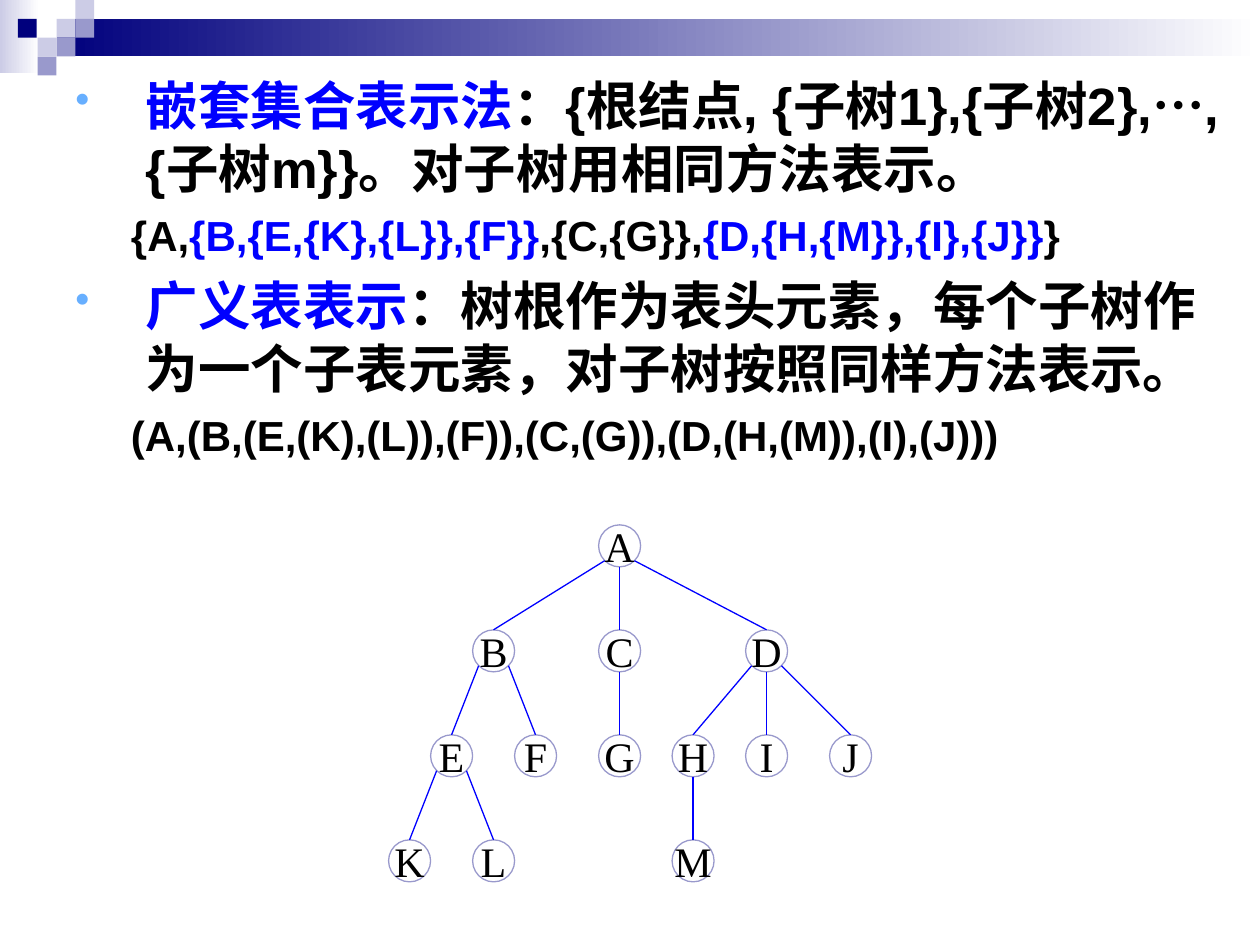
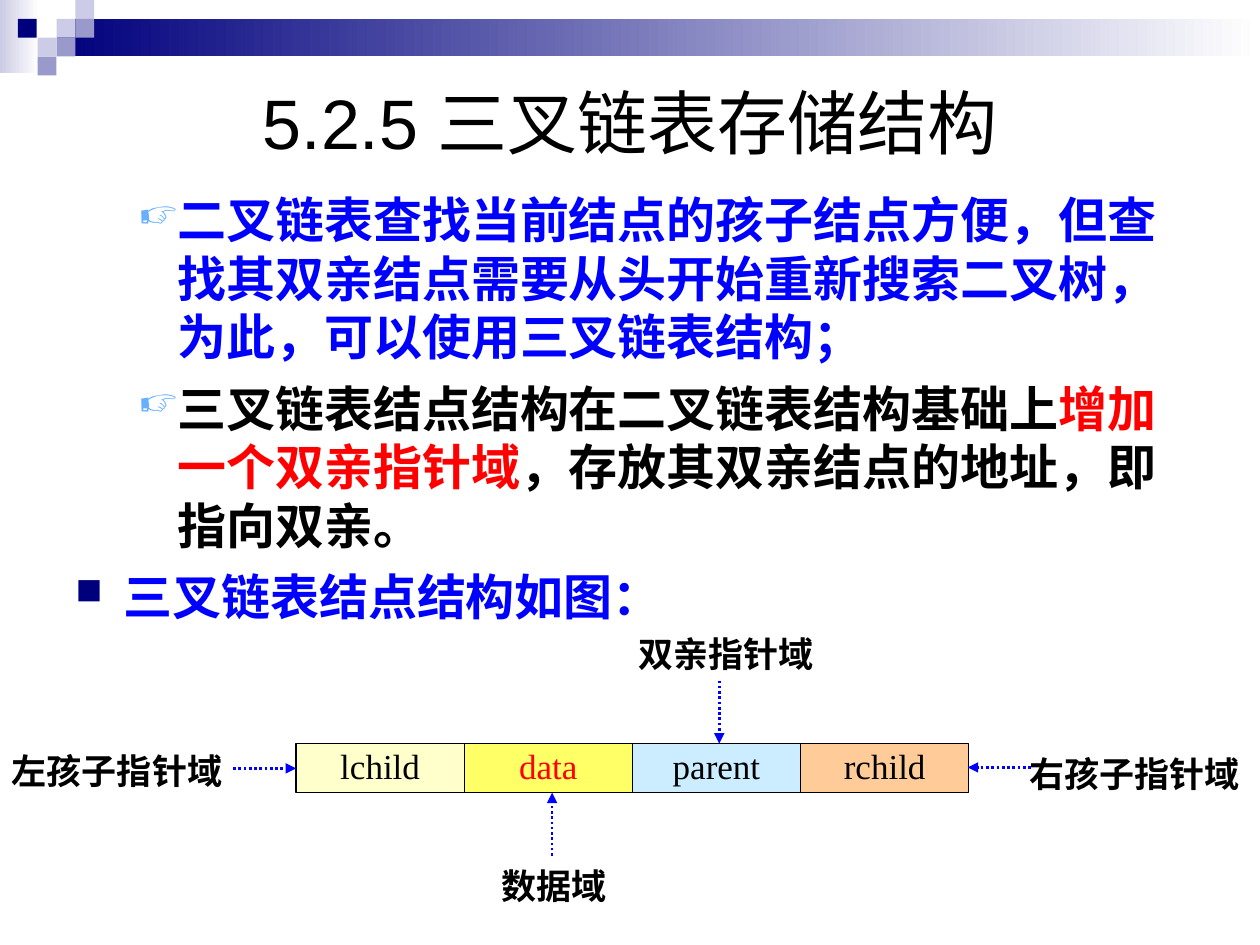
from lxml import etree
from pptx import Presentation
from pptx.dml.color import RGBColor
from pptx.enum.dml import MSO_LINE
from pptx.enum.shapes import MSO_CONNECTOR, MSO_SHAPE
from pptx.enum.text import MSO_ANCHOR, PP_ALIGN
from pptx.oxml.ns import qn
from pptx.util import Cm, Pt

RECT, OVAL = MSO_SHAPE.RECTANGLE, MSO_SHAPE.OVAL
LINE, DOTS = MSO_CONNECTOR.STRAIGHT, MSO_LINE.ROUND_DOT
MID, TOP = MSO_ANCHOR.MIDDLE, MSO_ANCHOR.TOP
LEFT, CENTER = PP_ALIGN.LEFT, PP_ALIGN.CENTER

NAVY, LILAC, PALE, SKY = "00007D", "9999CC", "CCCCE6", "67AFFF"
BLUE, BLACK, RED, WHITE = "0000FF", "000000", "FF0000", "FFFFFF"
SANS, SERIF, HAN = "Arial", "Times New Roman", "Noto Sans CJK SC"

# Paragraph kinds: size, indents in cm, bullet, space before, line height
POINT = dict(size=30, left=2.69, hang=-1.42, mark=("•", SKY, 80),
             before=7.5, line=36)
FORM = dict(size=24, left=2.39, hang=0, before=6)
HAND = dict(size=28, left=2.06, hang=-0.79, mark=("☞", SKY, 80),
            before=7, line=33.6)
ITEM = dict(size=28, left=0.97, hang=-0.97, mark=("■", NAVY, 75),
            before=7, line=33.6)


def color(code):
    return RGBColor.from_string(code)


def apply(target, values):
    for key, value in values.items():
        setattr(target, key, value)


class Deck:
    def __init__(self):
        self.prs = Presentation()
        self.prs.slide_width, self.prs.slide_height = Cm(25.4), Cm(19.05)
        self.slide = None

    def page(self):
        self.slide = self.prs.slides.add_slide(self.prs.slide_layouts[6])
        self.band()

    def band(self):
        self.box(RECT, 0, 0, 0.79, 1.47, (PALE, WHITE))
        self.box(RECT, 1.14, 0.38, 24.26, 0.76, (NAVY, WHITE))
        side = 0.38
        for col, row, fill in [(3, 1, PALE), (4, 0, PALE), (4, 1, LILAC),
                               (2, 2, PALE), (0.95, 1, NAVY),
                               (3, 2, LILAC), (2, 3, LILAC)]:
            self.box(RECT, col * side, row * side, side, side, fill)

    def box(self, kind, x, y, w, h, fill, edge=None):
        shape = self.slide.shapes.add_shape(kind, Cm(x), Cm(y), Cm(w), Cm(h))
        shape.shadow.inherit = False
        if isinstance(fill, tuple):
            shape.fill.gradient()
            shape.fill.gradient_angle = 0
            for stop, code in zip(shape.fill.gradient_stops, fill):
                stop.color.rgb = color(code)
        else:
            shape.fill.solid()
            shape.fill.fore_color.rgb = color(fill)
        if edge:
            shape.line.color.rgb = color(edge)
            shape.line.width = Pt(0.75)
        else:
            shape.line.fill.background()
        return shape

    def line(self, start, end, width=0.75, arrow=False):
        link = self.slide.shapes.add_connector(
            LINE, *(Cm(v) for v in (*start, *end)))
        link.line.color.rgb = color(BLUE)
        link.line.width = Pt(width)
        if arrow:
            link.line.dash_style = DOTS
            etree.SubElement(link.line._get_or_add_ln(), qn("a:tailEnd"),
                             type="triangle")
        etree.SubElement(link._element.spPr, qn("a:effectLst"))

    def run(self, par, text, size, code, font, bold):
        run = par.add_run()
        run.text = text
        apply(run.font, dict(name=font, size=Pt(size), bold=bold))
        run.font.color.rgb = color(code)
        props = run._r.get_or_add_rPr()
        props.set("lang", "zh-CN")
        etree.SubElement(props, qn("a:ea"), typeface=HAN)

    def bullet(self, par, kind):
        props = par._p.get_or_add_pPr()
        props.set("marL", str(Cm(kind["left"])))
        props.set("indent", str(Cm(kind["hang"])))
        if "mark" not in kind:
            etree.SubElement(props, qn("a:buNone"))
            return
        char, code, size = kind["mark"]
        tint = etree.SubElement(props, qn("a:buClr"))
        etree.SubElement(tint, qn("a:srgbClr"), val=code)
        etree.SubElement(props, qn("a:buSzPct"), val=str(size * 1000))
        etree.SubElement(props, qn("a:buChar"), char=char)

    def frame(self, shape, anchor=MID, wrap=False, tight=False):
        inset = dict(margin_left=Cm(0.25), margin_right=Cm(0.25),
                     margin_top=Cm(0.03 if tight else 0.13),
                     margin_bottom=Cm(0.13))
        apply(shape.text_frame, dict(vertical_anchor=anchor, word_wrap=wrap,
                                     **inset))
        return shape.text_frame

    def area(self, x, y, w, h, anchor=TOP, tight=False):
        shape = self.slide.shapes.add_textbox(Cm(x), Cm(y), Cm(w), Cm(h))
        return self.frame(shape, anchor, True, tight)

    def center(self, frame, text, size, font, code=BLACK, bold=False):
        par = frame.paragraphs[0]
        par.alignment = CENTER
        self.run(par, text, size, code, font, bold)
        return par

    def title(self, text):
        self.center(self.area(1.27, 1.27, 22.86, 2.34, MID), text, 40, SANS)

    def body(self, spot, pars):
        frame = self.area(*spot)
        for num, (kind, runs) in enumerate(pars):
            par = frame.add_paragraph() if num else frame.paragraphs[0]
            self.bullet(par, kind)
            par.alignment = LEFT
            if num:
                par.space_before = Pt(kind["before"])
            if "line" in kind:
                par.line_spacing = Pt(kind["line"])
            for text, code, *font in runs:
                self.run(par, text, kind["size"], code,
                         font[0] if font else SANS, True)

    def label(self, text, x, y, w):
        par = self.center(self.area(x, y, w, 1.02, tight=True),
                          text, 20, SERIF, bold=True)
        par.line_spacing = Pt(24)

    def tree(self, nodes, unit, mid, top):
        """Place nodes given as name: (parent, level, offset in units)."""
        rad = 2 * unit
        spots = {name: (mid + off * unit, top + level * 10 * unit)
                 for name, (_, level, off) in nodes.items()}
        for name, (x, y) in spots.items():
            node = self.box(OVAL, x - rad, y, 2 * rad, 2 * rad, WHITE, LILAC)
            self.center(self.frame(node), name, 24, SERIF)
        for name, (up, _, _) in nodes.items():
            if up:
                x, y = spots[name]
                px, py = spots[up]
                side = (x > px) - (x < px)
                drop = 1.71 * rad if side else 2 * rad
                self.line((px + side * 0.71 * rad, py + drop), (x, y))

    def cells(self, items, x, y, w, h):
        for num, (text, fill, code) in enumerate(items):
            cell = self.box(RECT, x + num * w, y, w, h, fill, BLACK)
            self.center(self.frame(cell, tight=True), text, 20, SERIF, code)


def main():
    deck = Deck()

    # Nested sets, generalized lists and their tree
    deck.page()
    deck.body((0, 1.35, 25.2, 15.88), [
        (POINT, [("嵌套集合表示法", BLUE),
                 ("：{根结点, {子树1},{子树2},", BLACK),
                 ("…", BLACK, HAN),
                 (",{子树m}}。对子树用相同方法表示。", BLACK)]),
        (FORM, [("{A,", BLACK), ("{B,{E,{K},{L}},{F}}", BLUE),
                (",{C,{G}},", BLACK), ("{D,{H,{M}},{I},{J}}", BLUE),
                ("}", BLACK)]),
        (POINT, [("广义表表示", BLUE),
                 ("：树根作为表头元素，每个子树作为一个子表元素，"
                  "对子树按照同样方法表示。", BLACK)]),
        (FORM, [("(A,(B,(E,(K),(L)),(F)),(C,(G)),(D,(H,(M)),(I),(J)))",
                 BLACK)]),
    ])
    deck.tree({
        "A": (None, 0, 0),
        "B": ("A", 1, -12), "C": ("A", 1, 0), "D": ("A", 1, 14),
        "E": ("B", 2, -16), "F": ("B", 2, -8), "G": ("C", 2, 0),
        "H": ("D", 2, 7), "I": ("D", 2, 14), "J": ("D", 2, 22),
        "K": ("E", 3, -20), "L": ("E", 3, -12), "M": ("H", 3, 7),
    }, unit=2.54 / 12, mid=12.49, top=10.58)

    # Node layout of the triple linked list
    deck.page()
    deck.title("5.2.5 三叉链表存储结构")
    deck.body((1.27, 3.69, 22.86, 13.54), [
        (HAND, [("二叉链表查找当前结点的孩子结点方便，但查找其双亲结点需要"
                 "从头开始重新搜索二叉树，为此，可以使用三叉链表结构；",
                 BLUE)]),
        (HAND, [("三叉链表结点结构在二叉链表结构基础上", BLACK),
                ("增加一个双亲指针域", RED),
                ("，存放其双亲结点的地址，即指向双亲。", BLACK)]),
        (ITEM, [("三叉链表结点结构如图：", BLUE)]),
    ])
    deck.cells([("lchild", "FFFFCC", BLACK), ("data", "FFFF66", RED),
                ("parent", "CCECFF", BLACK), ("rchild", "FFCC99", BLACK)],
               5.97, 14.99, 3.39, 0.99)

    # Field labels and their arrows
    for text, x, y, w, start, end in [
            ("左孩子指针域", -0.18, 15.07, 5.08, (4.7, 15.49), (5.97, 15.49)),
            ("数据域", 9.58, 17.4, 3.18, (11.13, 17.25), (11.13, 15.98)),
            ("双亲指针域", 12.32, 12.73, 4.65, (14.5, 13.72), (14.5, 14.99)),
            ("右孩子指针域", 20.42, 15.14, 4.9, (20.78, 15.47), (19.51, 15.47))]:
        deck.label(text, x, y, w)
        deck.line(start, end, 1.5, True)

    deck.prs.save("out.pptx")


if __name__ == "__main__":
    main()
